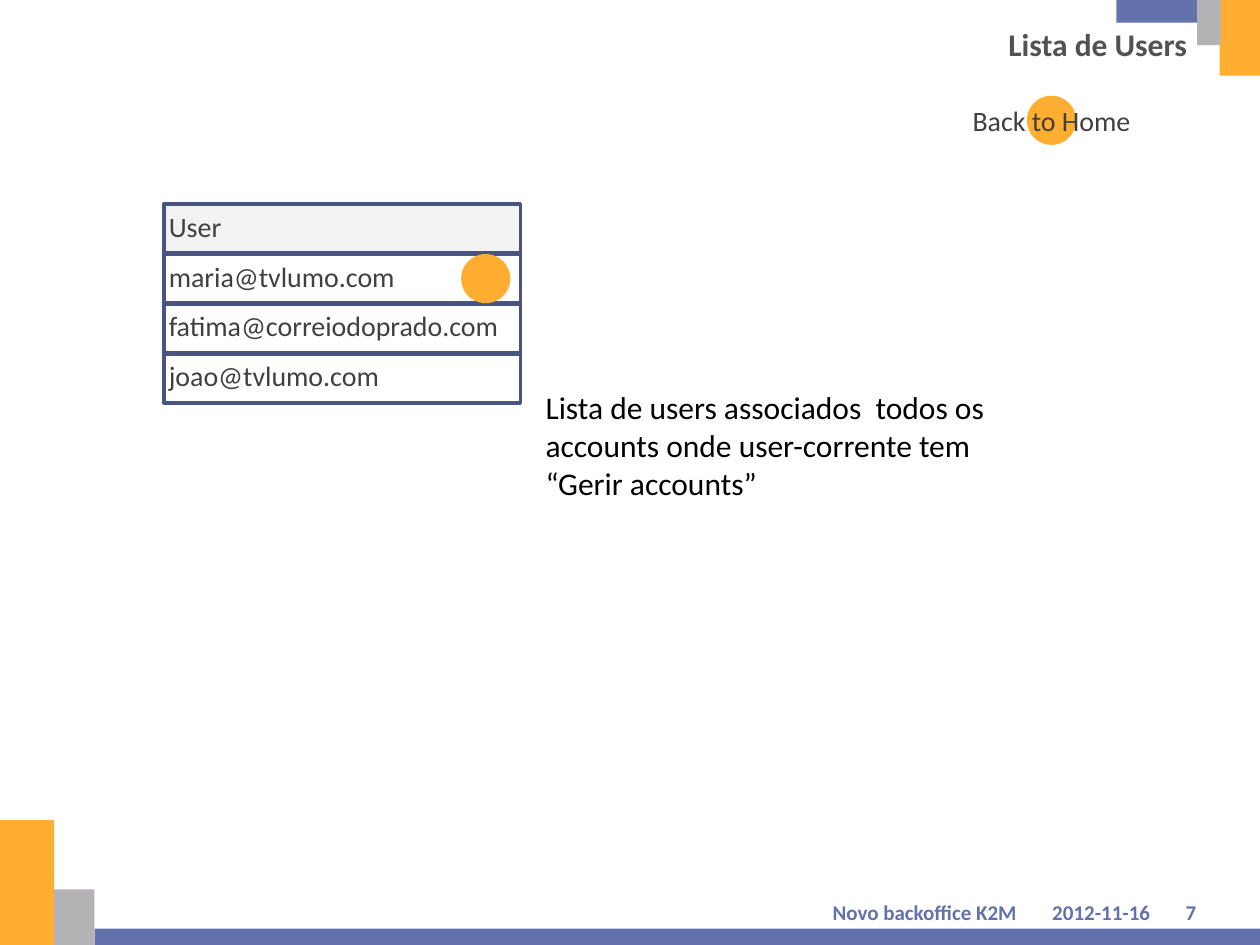
from dataclasses import dataclass
from typing import Optional

import pptx
import pptx.dml.color
import pptx.enum.shapes
import pptx.enum.text
import pptx.util

Inches = pptx.util.Inches
Pt = pptx.util.Pt
SHAPE = pptx.enum.shapes.MSO_SHAPE
ALIGN = pptx.enum.text.PP_ALIGN
ANCHOR = pptx.enum.text.MSO_ANCHOR

COLORS = {
    "orange": "FFAE31", "gray": "B5B2B5", "blue": "6371AD",
    "border": "495480", "header": "F2F2F2", "title": "525252",
    "body": "404040", "black": "000000",
}
TIGHT = (0.04, 0.04, 0.04, 0.04)
FOOTER = (0.08, 0.08, 0.08, 0)


@dataclass
class Box:
    """Position and size in inches."""
    left: float
    top: float
    width: float
    height: float

    def lengths(self) -> list:
        """Return the four values as lengths."""
        return [Inches(v) for v in (self.left, self.top, self.width, self.height)]


@dataclass
class Label:
    """Text with its format."""
    text: str
    size: int
    color: str
    bold: bool = False
    align: ALIGN = ALIGN.LEFT
    anchor: ANCHOR = ANCHOR.TOP
    insets: tuple = TIGHT
    wrap: bool = True


def rgb(name: str) -> pptx.dml.color.RGBColor:
    """Look up a named colour."""
    return pptx.dml.color.RGBColor.from_string(COLORS[name])


def write(sp, label: Label) -> None:
    """Put a label into a shape or text box."""
    tf = sp.text_frame
    sides = ("margin_left", "margin_top", "margin_right", "margin_bottom")
    frame = dict(zip(sides, map(Inches, label.insets)))
    frame.update(word_wrap=label.wrap, vertical_anchor=label.anchor)
    for name, value in frame.items():
        setattr(tf, name, value)
    p = tf.paragraphs[0]
    p.alignment = label.align
    r = p.add_run()
    r.text = label.text
    font = {"name": "Calibri", "size": Pt(label.size), "bold": label.bold}
    for name, value in font.items():
        setattr(r.font, name, value)
    r.font.color.rgb = rgb(label.color)


def add_shape(s, box: Box, fill: Optional[str] = None, line: Optional[str] = None,
              kind: SHAPE = SHAPE.RECTANGLE, label: Optional[Label] = None) -> None:
    """Draw a preset shape with optional fill, outline and label."""
    sp = s.shapes.add_shape(kind, *box.lengths())
    sp.shadow.inherit = False
    if fill:
        sp.fill.solid()
        sp.fill.fore_color.rgb = rgb(fill)
    else:
        sp.fill.background()
    if line:
        sp.line.color.rgb = rgb(line)
        sp.line.width = Pt(2)
    else:
        sp.line.fill.background()
    if label:
        write(sp, label)


def add_text(s, box: Box, label: Label) -> None:
    """Draw a text box."""
    write(s.shapes.add_textbox(*box.lengths()), label)


prs = pptx.Presentation()
prs.slide_width, prs.slide_height = Inches(10), Inches(7.5)
s = prs.slides.add_slide(prs.slide_layouts[6])

BLOCKS = [
    (Box(0, 6.51, 0.43, 0.99), "orange"),
    (Box(0.43, 7.06, 0.32, 0.44), "gray"),
    (Box(0.75, 7.37, 9.25, 0.13), "blue"),
    (Box(9.68, 0, 0.32, 0.6), "orange"),
    (Box(9.5, 0, 0.19, 0.36), "gray"),
    (Box(8.86, 0, 0.64, 0.18), "blue"),
]
for box, color in BLOCKS:
    add_shape(s, box, color)

FOOTERS = [
    ("2012-11-16", 8.23, 1.02, ALIGN.CENTER),
    ("Novo backoffice K2M", 0.51, 7.64, ALIGN.RIGHT),
    ("7", 9.33, 0.39, ALIGN.LEFT),
]
for text, left, width, align in FOOTERS:
    add_text(s, Box(left, 7.06, width, 0.28),
             Label(text, 12, "blue", True, align, ANCHOR.MIDDLE, FOOTER))

add_text(s, Box(4.78, 0.15, 4.74, 0.39),
         Label("Lista de Users", 18, "title", True, ALIGN.RIGHT, ANCHOR.MIDDLE,
               (0.1, 0.05, 0.1, 0.05)))

USERS = ["User", "maria@tvlumo.com", "fatima@correiodoprado.com", "joao@tvlumo.com"]
LIST_TOP, ROW_STEP, DOT = 1.62, 0.396, 0.39
for i, user in enumerate(USERS):
    add_shape(s, Box(1.3, LIST_TOP + i * ROW_STEP, 2.83, 0.39),
              None if i else "header", "border", label=Label(user, 16, "body"))

add_shape(s, Box(3.66, LIST_TOP + ROW_STEP, DOT, DOT), "orange", kind=SHAPE.OVAL)
add_text(s, Box(4.29, 3.04, 3.7, 0.99),
         Label("Lista de users associados  todos os accounts onde user-corrente "
               "tem “Gerir accounts”", 18, "black"))
add_shape(s, Box(8.15, 0.76, DOT, DOT), "orange", kind=SHAPE.OVAL,
          label=Label("Back to Home", 16, "body", align=ALIGN.CENTER,
                      anchor=ANCHOR.MIDDLE, wrap=False))

prs.save("out.pptx")
